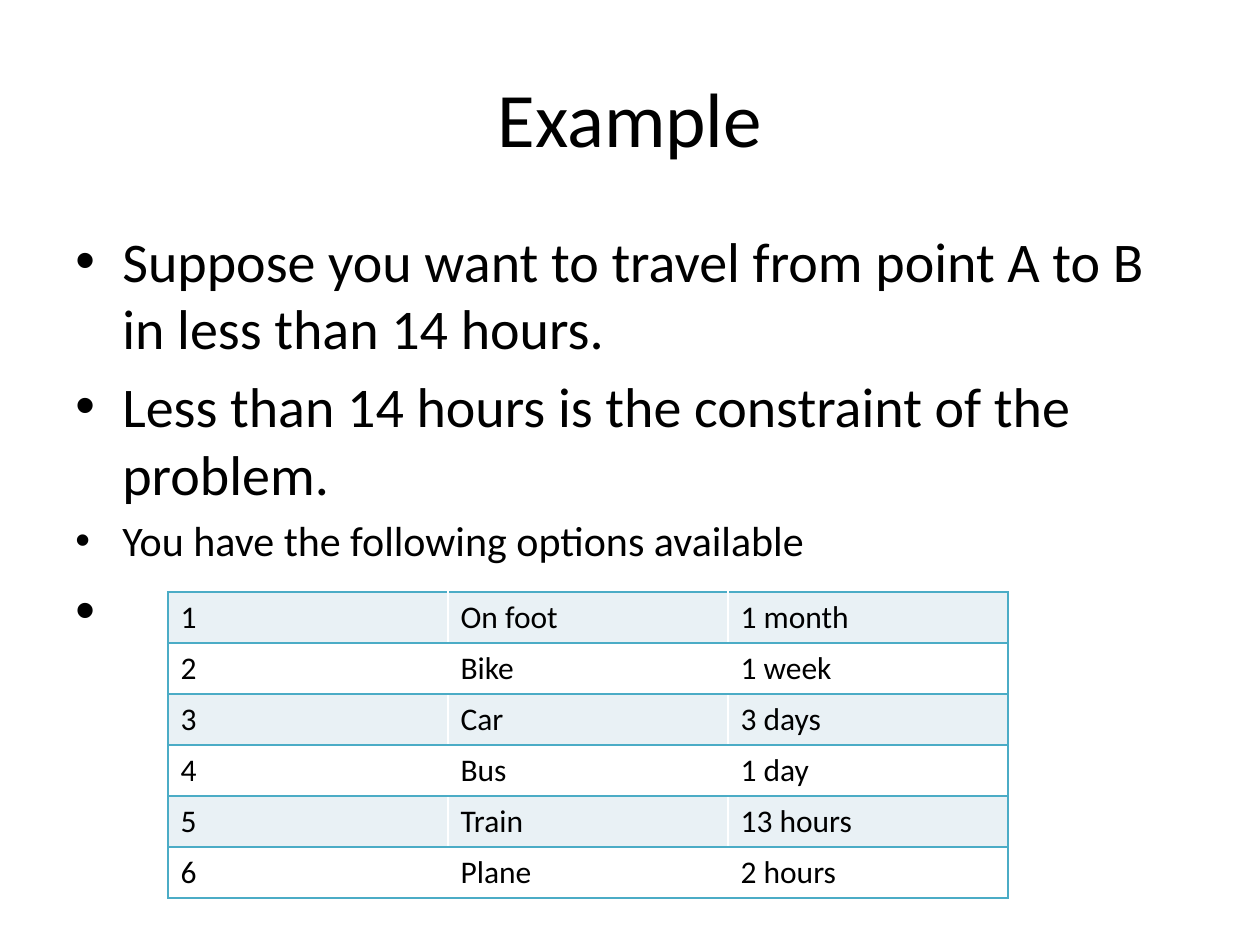
from dataclasses import dataclass

from lxml import etree
from pptx import Presentation
from pptx import util as u
from pptx.dml.color import RGBColor
from pptx.enum import text
from pptx.oxml import ns

EMU_PER_PX = 914400 / 126
COLORS = {"ink": "000000", "border": "4BACC6", "band": "E9F1F5", "plain": "FFFFFF"}
FONT = "Calibri"


@dataclass
class Box:
    left: int
    top: int
    width: int
    height: int

    def emu(self) -> list[u.Emu]:
        return [px(n) for n in (self.left, self.top, self.width, self.height)]


@dataclass
class Line:
    wording: str
    size: int
    bulleted: bool = True


@dataclass
class Option:
    number: str
    transport: str
    duration: str


TITLE_BOX = Box(63, 38, 1134, 158)
BODY_BOX = Box(63, 220, 1134, 624)
TABLE_BOX = Box(168, 592, 840, 306)
BULLET_INDENT = 47

TITLE = [Line("Example", 44, bulleted=False)]
BODY = [
    Line("Suppose you want to travel from point A to B in less than 14 hours.", 32),
    Line("Less than 14 hours is the constraint of the problem.", 32),
    Line("You have the following options available", 24),
    Line(" ", 32),  # the bullet beside the table
]
OPTIONS = [
    Option("1", "On foot", "1 month"),
    Option("2", "Bike", "1 week"),
    Option("3", "Car", "3 days"),
    Option("4", "Bus", "1 day"),
    Option("5", "Train", "13 hours"),
    Option("6", "Plane", "2 hours"),
]


def px(length: int) -> u.Emu:
    return u.Emu(round(length * EMU_PER_PX))


def apply(target, formats: dict) -> None:
    for attribute, value in formats.items():
        setattr(target, attribute, value)


def write(paragraph, wording: str, size: int) -> None:
    run = paragraph.add_run()
    apply(run, {"text": wording})
    apply(run.font, {"name": FONT, "size": u.Pt(size)})
    run.font.color.rgb = RGBColor.from_string(COLORS["ink"])


def add_bullet(paragraph, size: int) -> None:
    paragraph.space_before = u.Pt(round(size * 0.2, 1))
    properties = paragraph._p.get_or_add_pPr()
    properties.set("marL", str(px(BULLET_INDENT)))
    properties.set("indent", str(-px(BULLET_INDENT)))
    etree.SubElement(properties, ns.qn("a:buFont"), typeface="Arial")
    etree.SubElement(properties, ns.qn("a:buChar"), char="•")


def add_lines(slide, box: Box, lines: list[Line], anchor, align) -> None:
    frame = slide.shapes.add_textbox(*box.emu()).text_frame
    apply(frame, {"word_wrap": True, "vertical_anchor": anchor})
    for index, line in enumerate(lines):
        paragraph = frame.paragraphs[0] if index == 0 else frame.add_paragraph()
        paragraph.alignment = align
        if line.bulleted:
            add_bullet(paragraph, line.size)
        write(paragraph, line.wording, line.size)


def add_border(cell, side: str) -> None:
    properties = cell._tc.get_or_add_tcPr()
    border = etree.SubElement(properties, ns.qn(f"a:ln{side}"), w=str(u.Pt(1)))
    fill = etree.SubElement(border, ns.qn("a:solidFill"))
    etree.SubElement(fill, ns.qn("a:srgbClr"), val=COLORS["border"])


def add_options(slide, box: Box, options: list[Option]) -> None:
    rows = [(o.number, o.transport, o.duration) for o in options]
    last = len(rows[0]) - 1
    table = slide.shapes.add_table(len(rows), last + 1, *box.emu()).table
    apply(table, {"first_row": False, "horz_banding": False})
    for r, row in enumerate(rows):
        for c, wording in enumerate(row):
            cell = table.cell(r, c)
            # Outer frame plus horizontal rules
            for side in ("L" if c == 0 else "") + ("R" if c == last else "") + "TB":
                add_border(cell, side)
            cell.fill.solid()
            band = "plain" if r % 2 else "band"
            cell.fill.fore_color.rgb = RGBColor.from_string(COLORS[band])
            write(cell.text_frame.paragraphs[0], wording, 18)


def main() -> None:
    deck = Presentation()
    apply(deck, {"slide_width": u.Inches(10), "slide_height": u.Inches(7.5)})
    slide = deck.slides.add_slide(deck.slide_layouts[6])

    # Heading, bullets, travel options
    add_lines(slide, TITLE_BOX, TITLE, text.MSO_ANCHOR.MIDDLE, text.PP_ALIGN.CENTER)
    add_lines(slide, BODY_BOX, BODY, text.MSO_ANCHOR.TOP, text.PP_ALIGN.LEFT)
    add_options(slide, TABLE_BOX, OPTIONS)

    deck.save("out.pptx")


if __name__ == "__main__":
    main()
